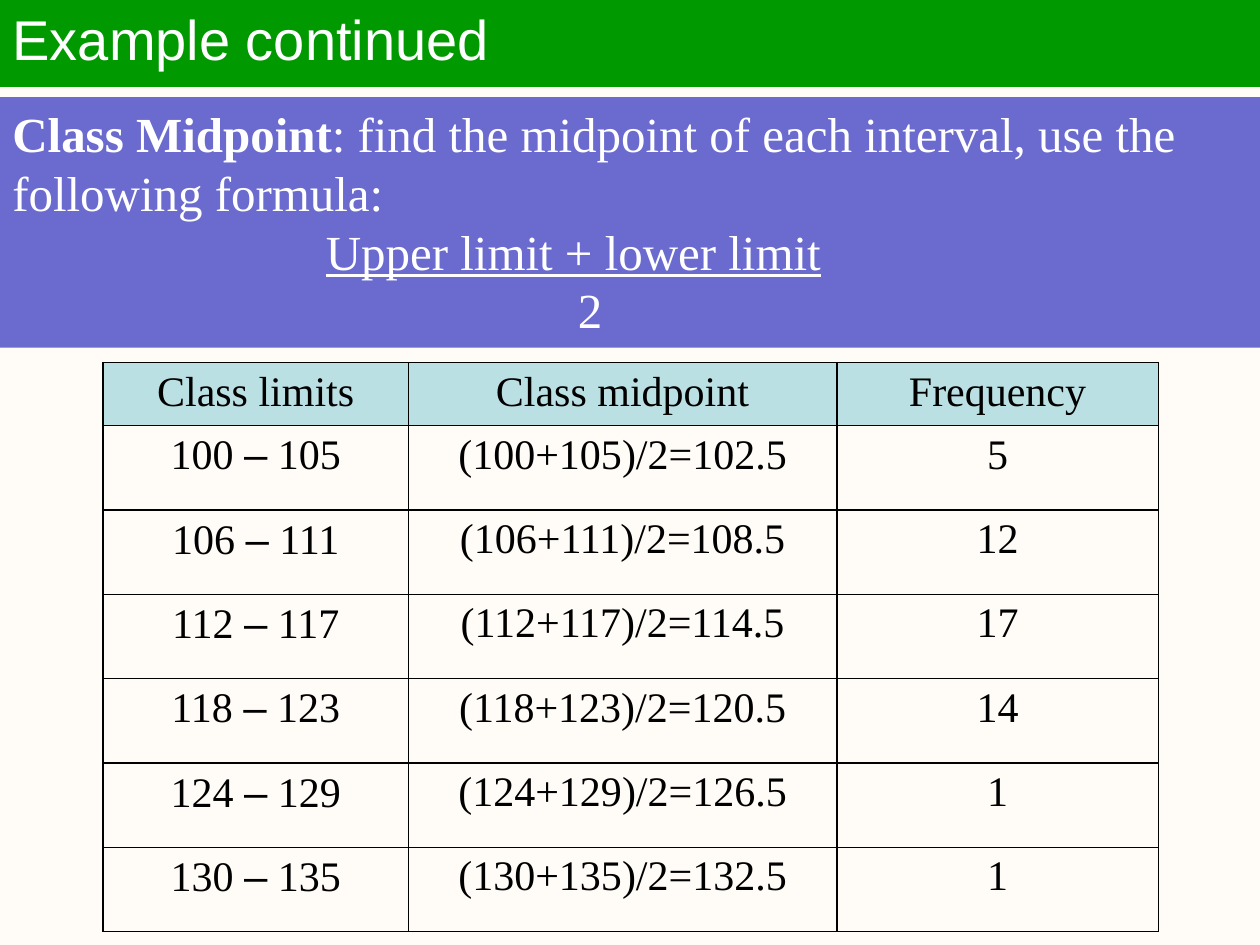
"""Build the class midpoint slide with its frequency table."""
from lxml import etree
from pptx import Presentation, util as u
from pptx.dml.color import RGBColor
from pptx.enum import shapes, text
from pptx.oxml.ns import qn

TITLE = "Example continued"
RULE = [
    (0, [("Class Midpoint", {"bold": True}),
         (": find the midpoint of each interval, use the following formula:", {})]),
    (6.32, [("Upper limit + lower limit", {"underline": True})]),
    (11.4, [("2", {})]),
]
HEAD = ["Class limits", "Class midpoint", "Frequency"]
DATA = [(100, 105, 5), (106, 111, 12), (112, 117, 17),
        (118, 123, 14), (124, 129, 1), (130, 135, 1)]
COLS = [6.15, 8.64, 6.48]
ROWS = [1.27] + [1.7] * len(DATA)
THEME = {
    "page": "FFFCF7", "bar": "009900", "band": "6B6BCF", "head": "BBE0E3",
    "light": "FFFFFF", "ink": "000000",
    "sans": "Arial", "serif": "Times New Roman",
    "title": 32, "rule": 28, "cell": 24,
}


def paint(fill, name):
    fill.solid()
    fill.fore_color.rgb = RGBColor.from_string(THEME[name])


def add_run(para, words, size, color, face="serif", bold=False, underline=False):
    run = para.add_run()
    run.text = words
    font = run.font
    font.size, font.name = u.Pt(THEME[size]), THEME[face]
    font.bold, font.underline = bold, underline
    font.color.rgb = RGBColor.from_string(THEME[color])


def place(shape, left, top, width, height):
    shape.left, shape.top = u.Cm(left), u.Cm(top)
    shape.width, shape.height = u.Cm(width), u.Cm(height)


def add_title(slide):
    bar = slide.shapes.title
    place(bar, 0, -0.05, 25.4, 1.8)
    paint(bar.fill, "bar")
    paint(bar.line.fill, "bar")
    bar.line.width = u.Pt(0.75)
    frame = bar.text_frame
    frame.word_wrap = True
    frame.auto_size = text.MSO_AUTO_SIZE.NONE
    frame.vertical_anchor = text.MSO_ANCHOR.MIDDLE
    para = frame.paragraphs[0]
    para.alignment, para.line_spacing = text.PP_ALIGN.LEFT, 0.9
    add_run(para, TITLE, "title", "light", "sans")


def add_rule(slide):
    band = slide.shapes.add_shape(
        shapes.MSO_SHAPE.RECTANGLE, 0, u.Cm(1.96), u.Cm(25.4), u.Cm(5.05))
    band.shadow.inherit = False
    paint(band.fill, "band")
    band.line.fill.background()
    frame = band.text_frame
    frame.word_wrap = True
    frame.vertical_anchor = text.MSO_ANCHOR.TOP
    for row, (indent, runs) in enumerate(RULE):
        para = frame.add_paragraph() if row else frame.paragraphs[0]
        para.alignment = text.PP_ALIGN.LEFT
        para._p.get_or_add_pPr().set("marL", str(u.Cm(indent)))
        for words, style in runs:
            add_run(para, words, "rule", "light", **style)


def add_edges(cell):
    props = cell._tc.get_or_add_tcPr()
    for spot, side in enumerate(("lnL", "lnR", "lnT", "lnB")):
        edge = etree.Element(qn(f"a:{side}"), w=str(u.Pt(1)))
        fill = etree.SubElement(edge, qn("a:solidFill"))
        etree.SubElement(fill, qn("a:srgbClr"), val=THEME["ink"])
        props.insert(spot, edge)


def add_grid(slide):
    body = [[[(f"{low} ", "serif"), ("–", "sans"), (f" {high}", "serif")],
             [(f"({low}+{high})/2={(low + high) / 2:.1f}", "serif")],
             [(str(count), "serif")]] for low, high, count in DATA]
    lines = [[[(name, "serif")] for name in HEAD]] + body
    grid = slide.shapes.add_table(
        len(ROWS), len(COLS), u.Cm(2.08), u.Cm(7.31),
        u.Cm(sum(COLS)), u.Cm(sum(ROWS))).table
    grid.first_row = grid.horz_banding = False
    for col, width in zip(grid.columns, COLS):
        col.width = u.Cm(width)
    for row, height in zip(grid.rows, ROWS):
        row.height = u.Cm(height)
    for r, line in enumerate(lines):
        for c, runs in enumerate(line):
            cell = grid.cell(r, c)
            if r:
                cell.fill.background()
            else:
                paint(cell.fill, "head")
            add_edges(cell)
            para = cell.text_frame.paragraphs[0]
            para.alignment = text.PP_ALIGN.CENTER
            for words, face in runs:
                add_run(para, words, "cell", "ink", face)


def main():
    deck = Presentation()
    deck.slide_width, deck.slide_height = u.Cm(25.4), u.Cm(19.05)
    slide = deck.slides.add_slide(deck.slide_layouts[5])
    paint(slide.background.fill, "page")
    add_rule(slide)
    add_grid(slide)
    add_title(slide)
    deck.save("out.pptx")


if __name__ == "__main__":
    main()
